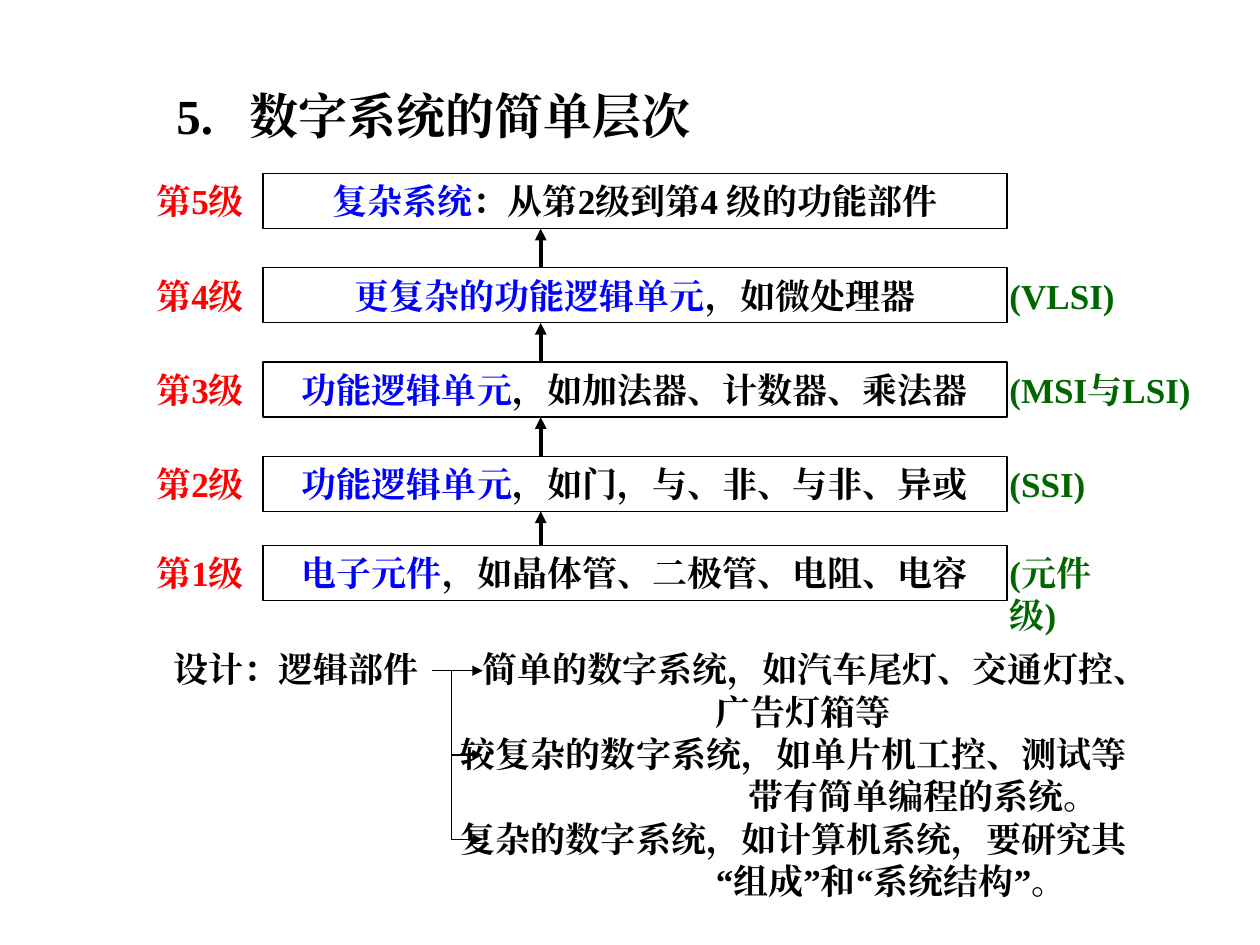
from lxml import etree
from pptx import Presentation
from pptx.dml.color import RGBColor
from pptx.enum.shapes import MSO_CONNECTOR, MSO_SHAPE
from pptx.enum.text import MSO_ANCHOR, PP_ALIGN
from pptx.oxml.ns import qn
from pptx.util import Cm, Pt

STRAIGHT = MSO_CONNECTOR.STRAIGHT
RECTANGLE = MSO_SHAPE.RECTANGLE
TOP, MIDDLE = MSO_ANCHOR.TOP, MSO_ANCHOR.MIDDLE
LEFT, CENTER = PP_ALIGN.LEFT, PP_ALIGN.CENTER

FONT = "Times New Roman"
COLORS = {"black": "000000", "white": "FFFFFF", "level": "FF0000",
          "term": "0000FF", "scale": "006600"}

# Level, term, examples, integration scale, width of the scale label (cm)
LEVELS = [
    ("第5级", "复杂系统", "：从第2级到第4 级的功能部件", None, 0),
    ("第4级", "更复杂的功能逻辑单元", "，如微处理器", "(VLSI)", 3),
    ("第3级", "功能逻辑单元", "，如加法器、计数器、乘法器", "(MSI与LSI)", 4.4),
    ("第2级", "功能逻辑单元", "，如门，与、非、与非、异或", "(SSI)", 3),
    ("第1级", "电子元件", "，如晶体管、二极管、电阻、电容", "(元件级)", 3),
]
LEVEL_TOPS = [3.5, 5.4, 7.3, 9.2, 11]
LEVEL_HEIGHT = 1.11
ARROW_X = 10.9

# Left indent (cm) and wording of each line on design
DESIGN_TAB = 6.22
DESIGN_LINES = [
    (0, "设计：逻辑部件\t简单的数字系统，如汽车尾灯、交通灯控、"),
    (10.93, "广告灯箱等"),
    (5.79, "较复杂的数字系统，如单片机工控、测试等"),
    (11.59, "带有简单编程的系统。"),
    (5.79, "复杂的数字系统，如计算机系统，要研究其"),
    (10.93, "“组成”和“系统结构”。"),
]
TRUNK_X, BRANCH_END = 9.1, 9.73
BRANCH_TOPS = [13.52, 15.22, 16.92]


def rgb(name):
    return RGBColor.from_string(COLORS[name])


def format_para(para, size=20, color="black", align=LEFT, tab=None):
    para.alignment = align
    if tab:
        tabs = etree.SubElement(para._p.get_or_add_pPr(), qn("a:tabLst"))
        etree.SubElement(tabs, qn("a:tab"), pos=str(Cm(tab)), algn="l")
    font = para.font
    font.size, font.bold, font.name = Pt(size), True, FONT
    font.color.rgb = rgb(color)
    # East Asian text uses the same typeface
    latin = font._element.find(qn("a:latin"))
    east_asian = etree.Element(qn("a:ea"), typeface=FONT)
    latin.addnext(east_asian)


def add_text(page, text, left, top, width, height, color):
    box = page.shapes.add_textbox(Cm(left), Cm(top), Cm(width), Cm(height))
    box.text_frame.word_wrap = True
    para = box.text_frame.paragraphs[0]
    para.text = text
    format_para(para, color=color)


def add_line(page, start, end, width=0.75, arrow=True):
    line = page.shapes.add_connector(STRAIGHT, *map(Cm, start + end))
    line.line.color.rgb = rgb("black")
    line.line.width = Pt(width)
    if arrow:
        etree.SubElement(line.line._get_or_add_ln(), qn("a:tailEnd"), type="triangle")
    etree.SubElement(line._element.spPr, qn("a:effectLst"))


def add_level_box(page, term, examples, top):
    box = page.shapes.add_shape(RECTANGLE, Cm(5.3), Cm(top), Cm(15), Cm(LEVEL_HEIGHT))
    box.shadow.inherit = False
    box.fill.solid()
    box.fill.fore_color.rgb = rgb("white")
    box.line.color.rgb = rgb("black")
    box.line.width = Pt(0.75)
    frame = box.text_frame
    frame.word_wrap = True
    frame.vertical_anchor = TOP
    para = frame.paragraphs[0]
    format_para(para, align=CENTER)
    for text, color in ((term, "term"), (examples, "black")):
        span = para.add_run()
        span.text = text
        span.font.color.rgb = rgb(color)


def add_title(page):
    title = page.shapes.title
    title.left, title.top, title.width, title.height = map(Cm, (3.3, 1.27, 11.58, 2.11))
    title.text_frame.vertical_anchor = MIDDLE
    para = title.text_frame.paragraphs[0]
    para.text = "5.\t数字系统的简单层次"
    format_para(para, size=28, tab=1.48)


def add_levels(page):
    for (level, term, examples, scale, width), top in zip(LEVELS, LEVEL_TOPS):
        add_text(page, level, 2.9, top, 2.8, LEVEL_HEIGHT, "level")
        add_level_box(page, term, examples, top)
        if scale:
            add_text(page, scale, 20.1, top, width, LEVEL_HEIGHT, "scale")
    # Each level builds on the one below
    for upper, lower in zip(LEVEL_TOPS, LEVEL_TOPS[1:]):
        add_line(page, (ARROW_X, lower), (ARROW_X, upper + LEVEL_HEIGHT), width=2.25)


def add_design(page):
    box = page.shapes.add_textbox(Cm(3.25), Cm(13.1), Cm(20.96), Cm(5.41))
    frame = box.text_frame
    frame.word_wrap = True
    for number, (indent, text) in enumerate(DESIGN_LINES):
        para = frame.add_paragraph() if number else frame.paragraphs[0]
        para.text = text
        para.line_spacing = 0.8
        para.space_before = Pt(5 if number else 0)
        para._p.get_or_add_pPr().set("marL", str(Cm(indent)))
        format_para(para, tab=None if indent else DESIGN_TAB)
    # Branching arrows
    add_line(page, (TRUNK_X, BRANCH_TOPS[0]), (TRUNK_X, BRANCH_TOPS[-1]), arrow=False)
    for start, top in zip((8.7, TRUNK_X, TRUNK_X), BRANCH_TOPS):
        add_line(page, (start, top), (BRANCH_END, top))


def main():
    deck = Presentation()
    deck.slide_width, deck.slide_height = Cm(25.4), Cm(19.05)
    page = deck.slides.add_slide(deck.slide_layouts[5])
    add_title(page)
    add_levels(page)
    add_design(page)
    deck.save("out.pptx")


if __name__ == "__main__":
    main()
